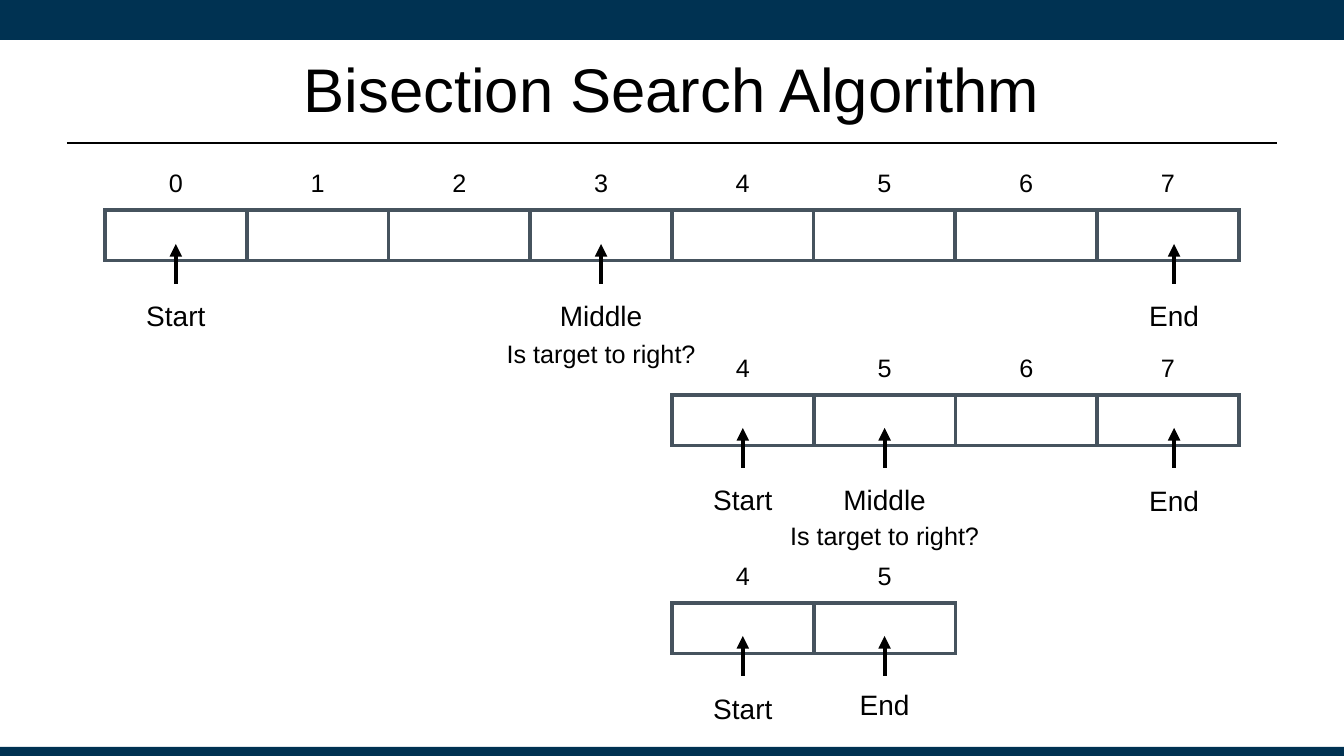
from lxml import etree
from pptx import Presentation
from pptx.dml.color import RGBColor
from pptx.enum.shapes import MSO_CONNECTOR, MSO_SHAPE
from pptx.enum.text import MSO_ANCHOR, PP_ALIGN
from pptx.oxml import parse_xml
from pptx.oxml.ns import nsdecls, qn
from pptx.util import Pt

LINE, RECT = MSO_CONNECTOR.STRAIGHT, MSO_SHAPE.RECTANGLE
CENTER, TOP, MIDDLE = PP_ALIGN.CENTER, MSO_ANCHOR.TOP, MSO_ANCHOR.MIDDLE
COLORS = {"navy": "003252", "black": "000000", "slate": "46535E", "white": "FFFFFF"}

# Content
TITLE = "Bisection Search Algorithm"
QUESTION = "Is target to right?"
# Each step: first index, last index, top, arrow foot,
# then markers as (label, index, shift right, label top, question top)
STEPS = [
    (0, 7, 160, 284, [("Start", 0, 0, 288, None),
                      ("End", 7, 6, 288, None),
                      ("Middle", 3, 0, 288, 328)]),
    (4, 7, 345, 468, [("Start", 4, 0, 472, None),
                      ("End", 7, 6, 473, None),
                      ("Middle", 5, 0, 472, 510)]),
    (4, 5, 553, 676, [("Start", 4, 0, 681, None),
                      ("End", 5, 0, 677, None)]),
]

# Layout in px
WIDTH, HEIGHT = 1344, 756
BANDS = [(0, 40), (747, 10)]
GRID_LEFT, GRID_WIDTH, GRID_COLS = 105, 1134, 8
CELL = GRID_WIDTH / GRID_COLS
ROW, INSET, ARROW = 49, 10, 40
LABEL_WIDTHS = {"Start": 85, "End": 85, "Middle": 142}


def px(n):
    return round(n * 914400 / 100.8)


def rgb(name):
    return RGBColor.from_string(COLORS[name])


def write(tf, text, size, anchor=TOP, inset=INSET):
    form = {"word_wrap": True, "vertical_anchor": anchor}
    form.update({"margin_" + side: px(inset) for side in ("left", "top", "right", "bottom")})
    for key, value in form.items():
        setattr(tf, key, value)
    p = tf.paragraphs[0]
    p.alignment = CENTER
    r = p.add_run()
    r.text = text
    for key, value in {"name": "Arial", "size": Pt(size)}.items():
        setattr(r.font, key, value)
    r.font.color.rgb = rgb("black")


def add_text(shapes, box, text, size, **form):
    sp = shapes.add_textbox(*map(px, box))
    write(sp.text_frame, text, size, **form)


def add_line(shapes, x1, y1, x2, y2, width, arrow=False):
    c = shapes.add_connector(LINE, px(x1), px(y1), px(x2), px(y2))
    c.line.width = Pt(width)
    c.line.color.rgb = rgb("black")
    if arrow:
        etree.SubElement(c.line._get_or_add_ln(), qn("a:tailEnd"), type="triangle")
    etree.SubElement(c._element.spPr, qn("a:effectLst"))


def set_borders(cell, is_header):
    tcPr = cell._tc.get_or_add_tcPr()
    for i, side in enumerate("LRTB"):
        color, width = ("white", 0.75) if is_header and side != "B" else ("slate", 3)
        tcPr.insert(i, parse_xml(
            f'<a:ln{side} {nsdecls("a")} w="{Pt(width)}"><a:solidFill>'
            f'<a:srgbClr val="{COLORS[color]}"/></a:solidFill></a:ln{side}>'))


def add_array(shapes, first, last, top):
    n = last - first + 1
    box = (GRID_LEFT + first * CELL, top, n * CELL, 2 * ROW)
    table = shapes.add_table(2, n, *map(px, box)).table
    table.first_row = table.horz_banding = False
    for column in table.columns:
        column.width = px(CELL)
    for r, row in enumerate(table.rows):
        row.height = px(ROW)
        for i, cell in enumerate(row.cells):
            cell.fill.background()
            set_borders(cell, r == 0)
            for side in ("left", "top", "right", "bottom"):
                setattr(cell, "margin_" + side, px(INSET))
            if r == 0:
                p = cell.text_frame.paragraphs[0]
                p.alignment = CENTER
                run = p.add_run()
                run.text = str(first + i)
                run.font.name, run.font.size = "Arial", Pt(18)
                run.font.color.rgb = rgb("black")


def add_marker(shapes, foot, label, index, shift, label_top, question_top):
    if question_top:
        shapes = shapes.add_group_shape().shapes
    x = GRID_LEFT + (index + 0.5) * CELL + shift
    w = LABEL_WIDTHS[label]
    add_text(shapes, (x - w / 2, label_top, w, 54), label, 20)
    add_line(shapes, x, foot, x, foot - ARROW, 3, arrow=True)
    if question_top:
        add_text(shapes, (x - 109, question_top, 218, 50), QUESTION, 18)


def main():
    prs = Presentation()
    prs.slide_width, prs.slide_height = px(WIDTH), px(HEIGHT)
    s = prs.slides.add_slide(prs.slide_layouts[6])

    # Bands, title and rule
    for top, height in BANDS:
        sp = s.shapes.add_shape(RECT, 0, px(top), px(WIDTH), px(height))
        sp.shadow.inherit = False
        sp.fill.solid()
        sp.fill.fore_color.rgb = rgb("navy")
        sp.line.fill.background()
    add_line(s.shapes, 67, 143, 1277, 143, 1.25)
    add_text(s.shapes, (67, 25, 1210, 126), TITLE, 44, anchor=MIDDLE, inset=5)

    # Arrays first, so that markers lie on top
    for first, last, top, _, _ in STEPS:
        add_array(s.shapes, first, last, top)
    for _, _, _, foot, markers in STEPS:
        for marker in markers:
            add_marker(s.shapes, foot, *marker)

    prs.save("out.pptx")


if __name__ == "__main__":
    main()
